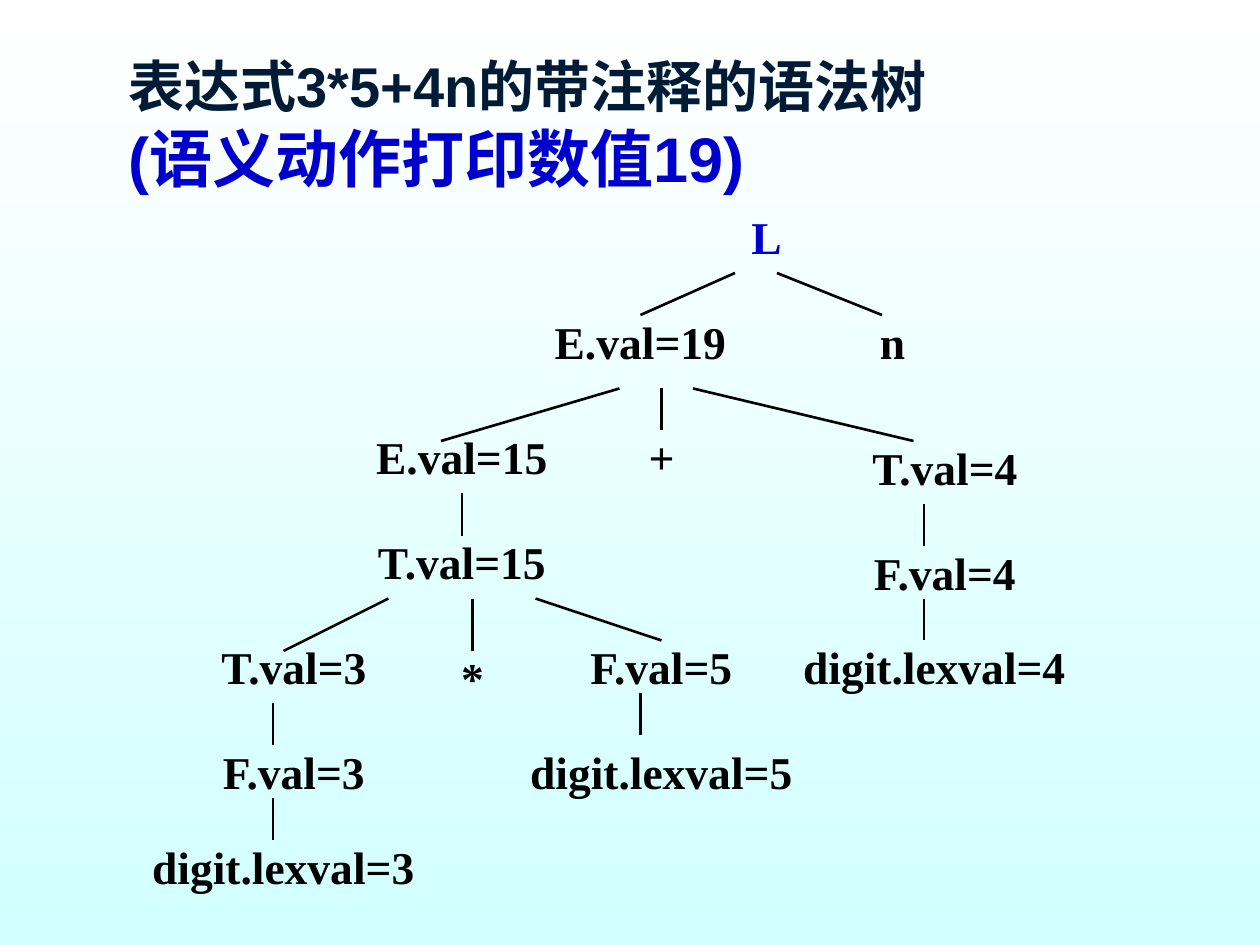
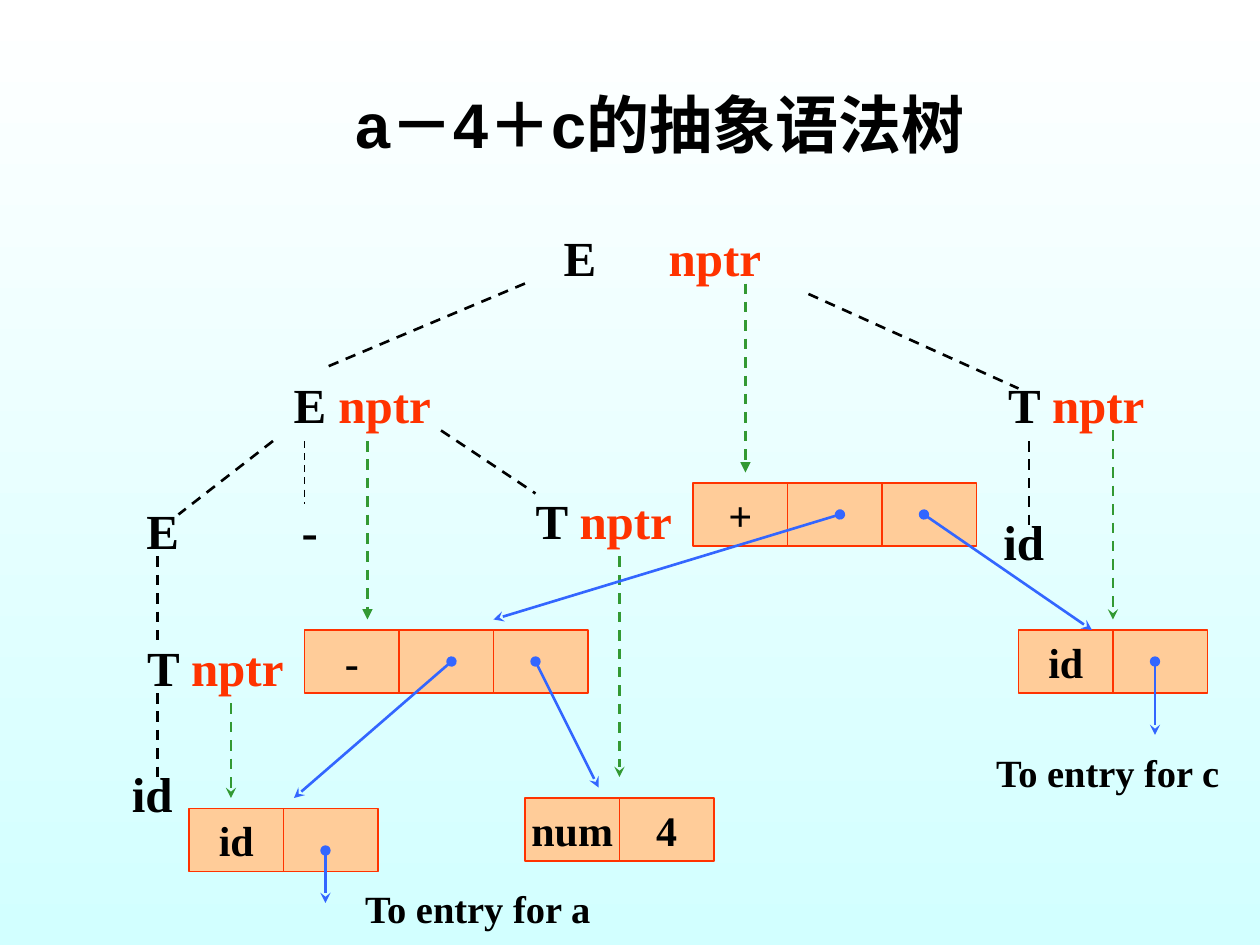
import lxml.etree
import pptx
import pptx.dml.color
import pptx.enum.dml
import pptx.enum.shapes
import pptx.enum.text
import pptx.oxml.ns
import pptx.util

Pt = pptx.util.Pt
ALIGN = pptx.enum.text.PP_ALIGN

# Colours
BLACK = pptx.dml.color.RGBColor(0x00, 0x00, 0x00)
WHITE = pptx.dml.color.RGBColor(0xFF, 0xFF, 0xFF)
PALE = pptx.dml.color.RGBColor(0xD2, 0xFF, 0xFF)
NAVY = pptx.dml.color.RGBColor(0x00, 0x1B, 0x36)
DEEP = pptx.dml.color.RGBColor(0x00, 0x00, 0xCC)
RED = pptx.dml.color.RGBColor(0xFF, 0x33, 0x00)
GREEN = pptx.dml.color.RGBColor(0x33, 0x99, 0x33)
BLUE = pptx.dml.color.RGBColor(0x33, 0x66, 0xFF)
PEACH = pptx.dml.color.RGBColor(0xFF, 0xCC, 0x99)

# Shared formats
SANS = {"name": "Arial", "bold": True}
SERIF = {"name": "Times New Roman", "bold": True}
FRAME = {
    "auto_size": pptx.enum.text.MSO_AUTO_SIZE.NONE,
    "vertical_anchor": pptx.enum.text.MSO_ANCHOR.MIDDLE,
    "margin_left": Pt(7.2), "margin_right": Pt(7.2),
    "margin_top": Pt(3.6), "margin_bottom": Pt(3.6),
}
TITLE = {"left": Pt(66), "top": Pt(27), "width": Pt(612), "height": Pt(87)}
HIGH = 42
CELL, TALL = 54, 36


def apply(target, *formats):
    for values in formats:
        for key, value in values.items():
            setattr(target, key, value)


def add_xml(parent, tag, **values):
    name = pptx.oxml.ns.qn(tag)
    return lxml.etree.SubElement(parent, name, values)


class Deck:
    def __init__(self):
        self.show = pptx.Presentation()
        apply(self.show, {"slide_width": Pt(720), "slide_height": Pt(540)})
        fill = self.show.slide_master.background.fill
        fill.gradient()
        fill.gradient_angle = 270
        for stop, color in zip(fill.gradient_stops, (WHITE, PALE)):
            stop.color.rgb = color

    def add_slide(self, lines, align):
        """Start a slide; each title line is (text, size, colour)."""
        self.slide = self.show.slides.add_slide(self.show.slide_layouts[5])
        self.sites = {}
        title = self.slide.shapes.title
        apply(title, TITLE)
        apply(title.text_frame, FRAME, {"word_wrap": True})
        para = title.text_frame.paragraphs[0]
        para.alignment = align
        for index, (text, size, color) in enumerate(lines):
            if index:
                para.add_line_break()
            self.add_run(para, text, size, color, SANS)

    def add_run(self, para, text, size, color, face=SERIF):
        run = para.add_run()
        run.text = text
        apply(run.font, face, {"size": Pt(size)})
        run.font.color.rgb = color

    def set_text(self, shape, runs, size, align=ALIGN.CENTER):
        apply(shape.text_frame, FRAME, {"word_wrap": False})
        para = shape.text_frame.paragraphs[0]
        para.alignment = align
        for text, color in runs:
            self.add_run(para, text, size, color)
        return para

    def add_label(self, runs, mid, top, wide, size, align=ALIGN.CENTER):
        box = self.slide.shapes.add_textbox(
            Pt(mid - wide / 2), Pt(top), Pt(wide), Pt(HIGH))
        self.sites[mid, top] = (box, 0)
        self.sites[mid, top + HIGH] = (box, 2)
        return self.set_text(box, runs, size, align)

    def add_record(self, left, top, fields):
        """Draw a syntax node as a row of equal cells."""
        group = self.slide.shapes.add_group_shape()
        for index, text in enumerate(fields):
            cell = group.shapes.add_shape(
                pptx.enum.shapes.MSO_SHAPE.RECTANGLE,
                Pt(left + index * CELL), Pt(top), Pt(CELL), Pt(TALL))
            cell.shadow.inherit = False
            cell.fill.solid()
            cell.fill.fore_color.rgb = PEACH
            cell.line.color.rgb = RED
            cell.line.width = Pt(1)
            if text:
                self.set_text(cell, [(text, BLACK)], 24)

    def add_line(self, start, end, color=BLACK, width=1.5, dash=False,
                 head=None, tail=None):
        line = self.slide.shapes.add_connector(
            pptx.enum.shapes.MSO_CONNECTOR.STRAIGHT,
            *(Pt(value) for value in start + end))
        if start in self.sites:
            line.begin_connect(*self.sites[start])
        if end in self.sites:
            line.end_connect(*self.sites[end])
        line.line.color.rgb = color
        line.line.width = Pt(width)
        if dash:
            line.line.dash_style = pptx.enum.dml.MSO_LINE.DASH
        props = line._element.spPr
        stroke = props.find(pptx.oxml.ns.qn("a:ln"))
        for tag, kind in (("a:headEnd", head), ("a:tailEnd", tail)):
            if kind:
                add_xml(stroke, tag, type=kind)
        add_xml(props, "a:effectLst")


def draw_parse(deck):
    deck.add_slide([("表达式3*5+4n的带注释的语法树", 32, NAVY),
                    ("(语义动作打印数值19)", 36, DEEP)], ALIGN.LEFT)

    # Tree nodes: text, centre, top
    nodes = [
        ("L", 438, 114), ("E.val=19", 366, 174), ("n", 510, 174),
        ("E.val=15", 264, 240), ("+", 378, 240), ("T.val=4", 540, 246),
        ("T.val=15", 264, 300), ("F.val=4", 540, 306),
        ("T.val=3", 168, 360), ("*", 270, 366), ("F.val=5", 378, 360),
        ("digit.lexval=4", 534, 360), ("F.val=3", 168, 420),
        ("digit.lexval=5", 378, 420), ("digit.lexval=3", 162, 474),
    ]
    for text, mid, top in nodes:
        color = DEEP if text == "L" else BLACK
        wide = 180 if len(text) > 1 else 72
        deck.add_label([(text, color)], mid, top, wide, 26)

    # Slanted branches
    for start, end in [
        ((420, 156), (366, 180)), ((444, 156), (504, 180)),
        ((354, 222), (252, 252)), ((396, 222), (522, 252)),
        ((222, 342), (162, 372)), ((306, 342), (378, 366)),
    ]:
        deck.add_line(start, end)

    # Upright branches: x, top, length
    for x, top, size in [
        (378, 222, 24), (264, 282, 24), (528, 288, 24), (528, 342, 24),
        (270, 342, 30), (366, 396, 24), (156, 402, 24), (156, 456, 24),
    ]:
        deck.add_line((x, top), (x, top + size))


def draw_syntax(deck):
    deck.add_slide([(" a－4＋c的抽象语法树", 36, BLACK)], ALIGN.CENTER)

    # Grammar symbols, some with their node pointer
    root = deck.add_label([("E\t", BLACK), ("nptr", RED)],
                          381, 126, 132, 28, ALIGN.LEFT)
    tabs = add_xml(root._p.get_or_add_pPr(), "a:tabLst")
    add_xml(tabs, "a:tab", pos=str(Pt(60)), algn="l")
    for text, mid, top in [("E ", 207, 210), ("T ", 615, 210),
                           ("T ", 345, 276), ("T ", 123, 360)]:
        deck.add_label([(text, BLACK), ("nptr", RED)], mid, top, 90, 28)
    for text, mid, top in [("E", 93, 282), ("-", 177, 282),
                           ("id", 585, 288), ("id", 87, 432)]:
        deck.add_label([(text, BLACK)], mid, top, 90, 28)
    for text, mid, top in [("To entry for a", 273, 498),
                           ("To entry for c", 633, 420)]:
        deck.add_label([(text, BLACK)], mid, top, 150, 22)

    # Syntax nodes
    for left, top, fields in [
        (396, 276, ["+", "", ""]), (174, 360, ["-", "", ""]),
        (582, 360, ["id", ""]), (300, 456, ["num", "4"]),
        (108, 462, ["id", ""]),
    ]:
        deck.add_record(left, top, fields)

    # Parse tree branches
    for start, end, width in [
        ((300, 162), (186, 210), 1.5), ((462, 168), (582, 222), 1.5),
        ((156, 252), (102, 294), 1.5), ((174, 252), (174, 288), 1),
        ((252, 246), (306, 282), 1.5), ((588, 252), (588, 300), 1.5),
        ((90, 318), (90, 366), 1.5), ((90, 396), (90, 444), 1.5),
    ]:
        deck.add_line(start, end, width=width, dash=True)

    # Pointers from symbols to nodes
    for x, top, low, tail in [
        (426, 162, 270, "triangle"), (210, 252, 354, "triangle"),
        (354, 318, 444, "stealth"), (636, 246, 354, "stealth"),
        (132, 402, 456, "stealth"),
    ]:
        deck.add_line((x, top), (x, low), GREEN, dash=True, tail=tail)

    # Links between nodes
    for start, end in [
        ((480, 294), (282, 354)), ((528, 294), (624, 360)),
        ((258, 378), (168, 456)), ((306, 378), (342, 450)),
        ((186, 486), (186, 516)), ((660, 378), (660, 420)),
    ]:
        deck.add_line(start, end, BLUE, head="oval", tail="stealth")


def main():
    deck = Deck()
    draw_parse(deck)
    draw_syntax(deck)
    deck.show.save("out.pptx")


if __name__ == "__main__":
    main()
